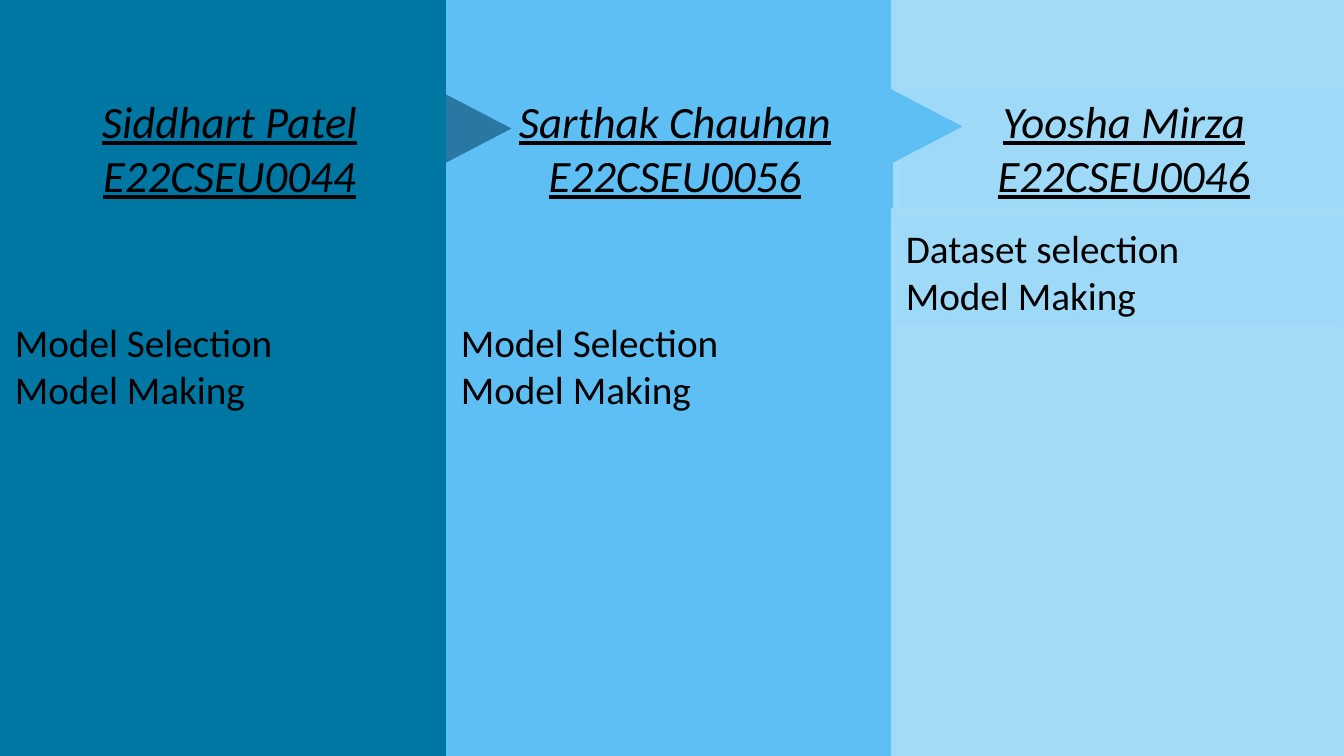
from lxml import etree
from pptx import Presentation, util as u
from pptx.dml.color import RGBColor
from pptx.enum import shapes, text
from pptx.oxml.ns import qn

SCALE = 12192000 / 1344
SLIDE_W, SLIDE_H = 1344, 756
NAVY = RGBColor(0x00, 0x76, 0xA3)
STEEL = RGBColor(0x2A, 0x77, 0xA3)
SKY = RGBColor(0x5D, 0xBF, 0xF4)
PALE = RGBColor(0x9E, 0xDA, 0xF8)
BLACK = RGBColor(0, 0, 0)
RECT = shapes.MSO_SHAPE.RECTANGLE
TRIANGLE = shapes.MSO_SHAPE.ISOSCELES_TRIANGLE


def px(length):
    """Turn pixels into EMU."""
    return u.Emu(round(length * SCALE))


def add_block(slide, kind, box, color, opacity=100):
    """Add a borderless shape, unfilled when color is None."""
    block = slide.shapes.add_shape(kind, *map(px, box))
    block.shadow.inherit = False
    block.line.fill.background()
    if color is None:
        block.fill.background()
        return block
    block.fill.solid()
    block.fill.fore_color.rgb = color
    if opacity < 100:
        tint = block.element.spPr.find(qn("a:solidFill"))[0]
        etree.SubElement(tint, qn("a:alpha"), val=str(opacity * 1000))
    return block


def add_label(slide, box, color, lines, size, align, heading=False):
    """Add a top-anchored block of text lines."""
    label = add_block(slide, RECT, box, color)
    frame = label.text_frame
    frame.word_wrap = True
    frame.vertical_anchor = text.MSO_ANCHOR.TOP
    frame.text = "\n".join(lines)
    for paragraph in frame.paragraphs:
        paragraph.alignment = align
        for run in paragraph.runs:
            run.font.name = "Calibri"
            run.font.size = u.Pt(size)
            run.font.color.rgb = BLACK
            run.font.italic = run.font.underline = heading


def add_member(slide, box, color, opacity, label_color, arrow, member, duties, duties_top):
    """Add one team member's column with the arrow leaving its right side."""
    left, top, width, height = box
    if arrow:
        arrow_top, arrow_color = arrow
        pointer = add_block(slide, TRIANGLE, (left + width - 1, top + arrow_top, 74, 71), arrow_color)
        pointer.left -= px(6) if arrow_color == STEEL else 0
        pointer.rotation = 90
    add_block(slide, RECT, box, color, opacity)
    add_label(slide, (left + 11, top + 89, width - 9, 119), label_color,
              member, 32, text.PP_ALIGN.CENTER, heading=True)
    add_label(slide, (left + 5, top + duties_top, width - 6, 105), label_color,
              duties, 28, text.PP_ALIGN.LEFT)


def main():
    """Build the team roles slide."""
    deck = Presentation()
    deck.slide_width, deck.slide_height = px(SLIDE_W), px(SLIDE_H)
    slide = deck.slides.add_slide(deck.slide_layouts[6])
    modelling = ("Model Selection", "Model Making")
    add_member(slide, (891, 0, 453, SLIDE_H), SKY, 57, PALE, None,
               ("Yoosha Mirza", "E22CSEU0046"), ("Dataset selection", "Model Making"), 219)
    add_member(slide, (446, 0, 445, SLIDE_H), SKY, 100, SKY, (91, SKY),
               ("Sarthak Chauhan", "E22CSEU0056"), modelling, 313)
    add_member(slide, (0, 0, 446, SLIDE_H), NAVY, 100, None, (93, STEEL),
               ("Siddhart Patel", "E22CSEU0044"), modelling, 313)
    deck.save("out.pptx")


if __name__ == "__main__":
    main()
